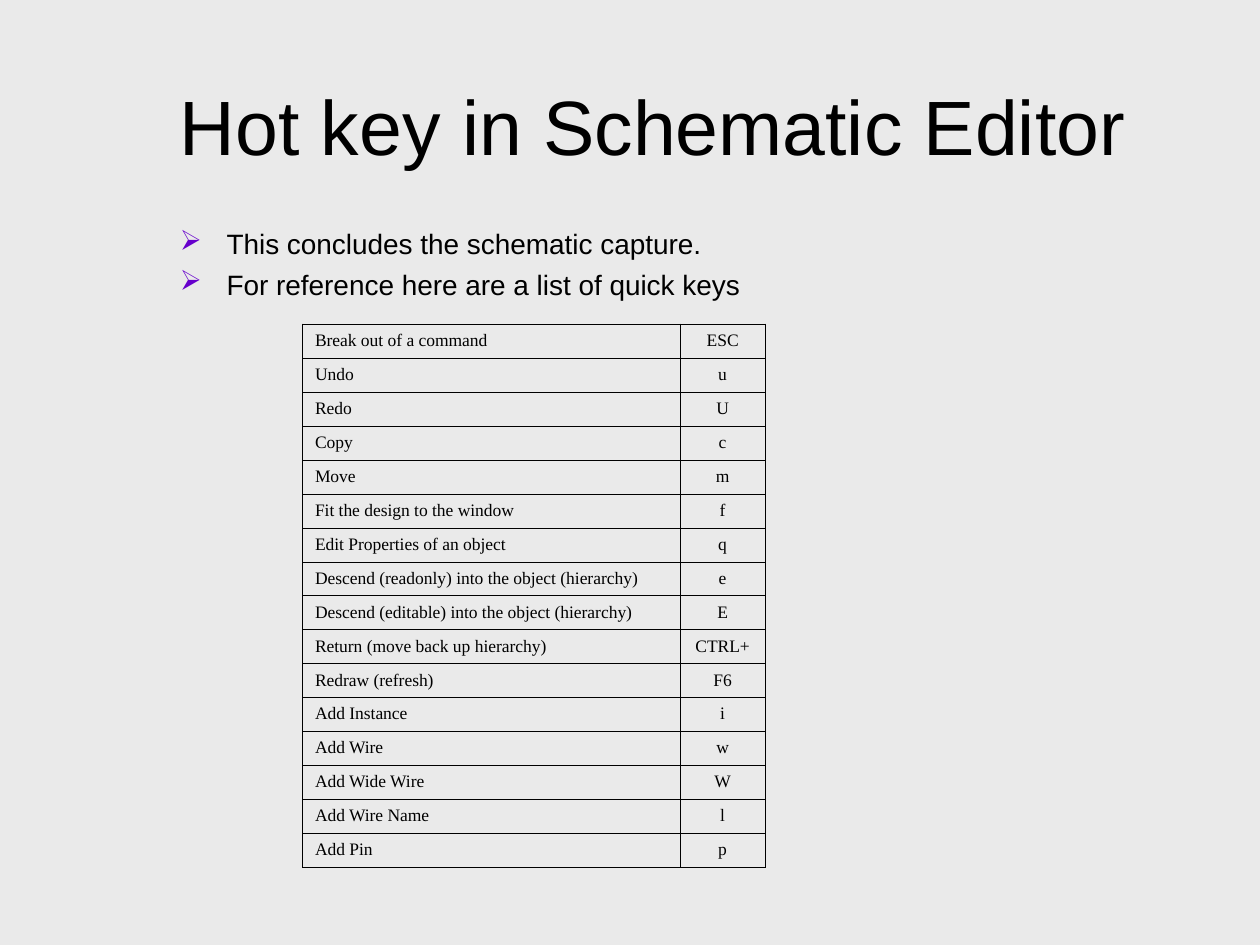
from pptx import Presentation
from pptx.dml.color import RGBColor
from pptx.enum.text import MSO_ANCHOR, PP_ALIGN
from pptx.oxml import parse_xml
from pptx.oxml.ns import nsdecls
from pptx.util import Inches, Pt

BACKGROUND = RGBColor(0xEA, 0xEA, 0xEA)
BLACK = RGBColor(0x00, 0x00, 0x00)
PURPLE = RGBColor(0x66, 0x00, 0xCC)

BULLETS = [
    "This concludes the schematic capture.",
    "For reference here are a list of quick keys",
]
HOT_KEYS = [
    ("Break out of a command", "ESC"),
    ("Undo", "u"),
    ("Redo", "U"),
    ("Copy", "c"),
    ("Move", "m"),
    ("Fit the design to the window", "f"),
    ("Edit Properties of an object", "q"),
    ("Descend (readonly) into the object (hierarchy)", "e"),
    ("Descend (editable) into the object (hierarchy)", "E"),
    ("Return (move back up hierarchy)", "CTRL+"),
    ("Redraw (refresh)", "F6"),
    ("Add Instance", "i"),
    ("Add Wire", "w"),
    ("Add Wide Wire", "W"),
    ("Add Wire Name", "l"),
    ("Add Pin", "p"),
]


def write(p, text, size, font="Arial", align=PP_ALIGN.LEFT, spacing=None, bullet=None):
    """Fill a paragraph with formatted text, with a hanging bullet if given."""
    p.alignment = align
    if spacing:
        p.line_spacing = spacing
    if bullet:
        pPr = p._p.get_or_add_pPr()
        pPr.set("marL", str(Inches(0.37)))
        pPr.set("indent", str(-Inches(0.37)))
        pPr.append(parse_xml(
            f'<a:buClr {nsdecls("a")}><a:srgbClr val="{PURPLE}"/></a:buClr>'))
        pPr.append(parse_xml(f'<a:buChar {nsdecls("a")} char="{bullet}"/>'))
    r = p.add_run()
    r.text = text
    r.font.size = Pt(size)
    r.font.name = font
    r.font.color.rgb = BLACK


def set_borders(cell):
    """Draw a hairline on all four sides of a table cell."""
    for side in ("lnL", "lnR", "lnT", "lnB"):
        cell._tc.get_or_add_tcPr().append(parse_xml(
            f'<a:{side} {nsdecls("a")} w="{Pt(0.23)}"><a:solidFill>'
            f'<a:srgbClr val="{BLACK}"/></a:solidFill></a:{side}>'))


prs = Presentation()
prs.slide_width, prs.slide_height = Inches(10), Inches(7.5)
s = prs.slides.add_slide(prs.slide_layouts[6])
s.background.fill.solid()
s.background.fill.fore_color.rgb = BACKGROUND

# Title
tf = s.shapes.add_textbox(Inches(1.33), Inches(0.33), Inches(8.5), Inches(1.32)).text_frame
tf.word_wrap = True
tf.vertical_anchor = MSO_ANCHOR.MIDDLE
write(tf.paragraphs[0], "Hot key in Schematic Editor", size=44)

# Bullets
tf = s.shapes.add_textbox(Inches(1.33), Inches(1.75), Inches(8.5), Inches(4.92)).text_frame
tf.word_wrap = True
for i, text in enumerate(BULLETS):
    p = tf.add_paragraph() if i else tf.paragraphs[0]
    if i:
        p.space_before = Pt(4)
    write(p, text, size=16, bullet="➢")

# Hot key table
table = s.shapes.add_table(len(HOT_KEYS), 2, Inches(2.4), Inches(2.57),
                           Inches(3.67), Inches(4.31)).table
table.first_row = False
table.horz_banding = False
table.columns[0].width = Inches(3)
table.columns[1].width = Inches(0.67)
for row, texts in zip(table.rows, HOT_KEYS):
    row.height = Inches(0.27)
    for cell, text, align in zip(row.cells, texts, (PP_ALIGN.LEFT, PP_ALIGN.CENTER)):
        cell.vertical_anchor = MSO_ANCHOR.MIDDLE
        set_borders(cell)
        cell.fill.background()
        write(cell.text_frame.paragraphs[0], text, size=10,
              font="Times New Roman", align=align, spacing=0.93)

prs.save("out.pptx")
